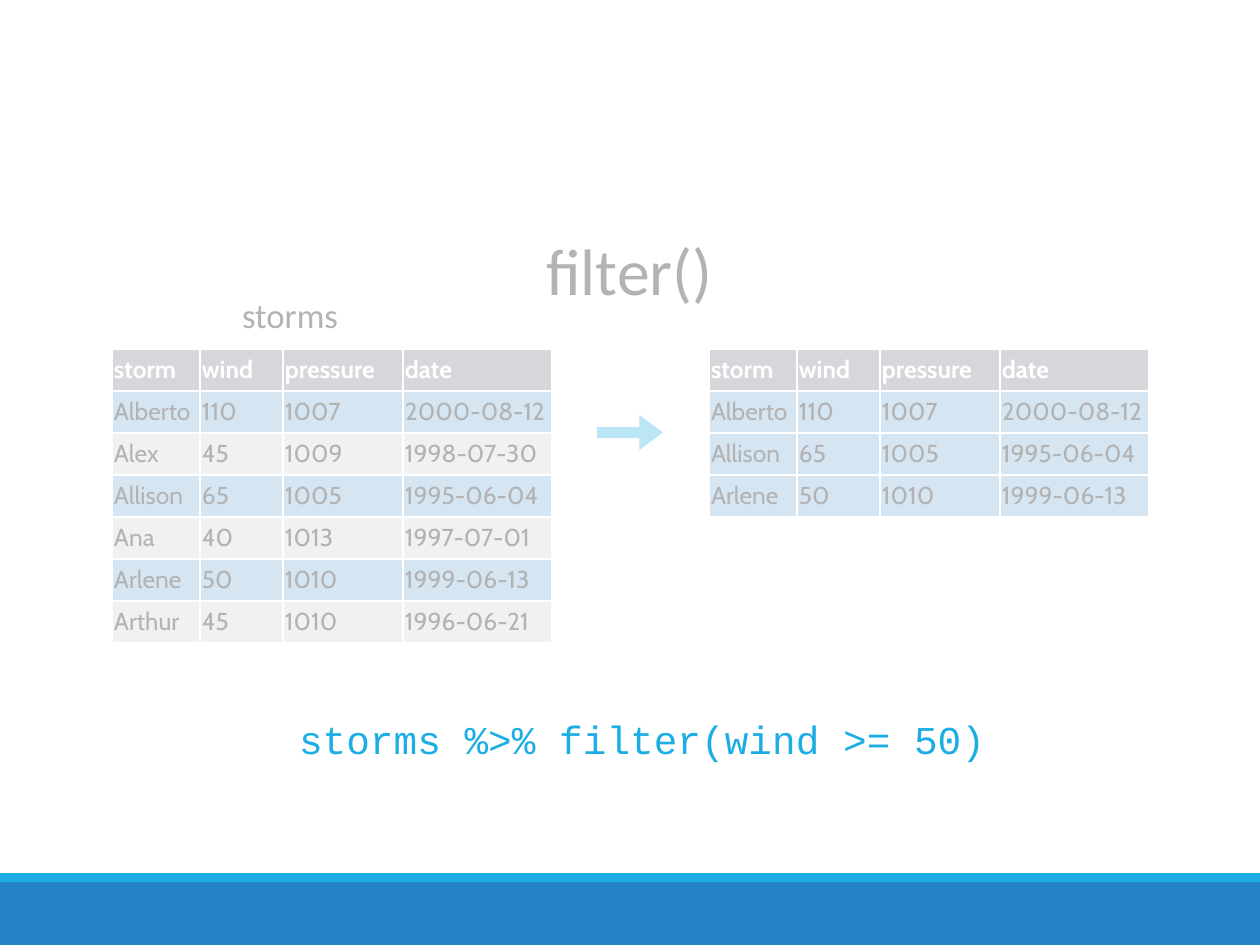
from dataclasses import dataclass

from lxml import etree
from pptx import Presentation
from pptx import util as u
from pptx.dml.color import RGBColor
from pptx.enum import shapes, text
from pptx.oxml import ns

PX = 914400 / 126


def px(length):
    return u.Emu(round(length * PX))


@dataclass(frozen=True)
class Theme:
    ink: str = "000000"
    paper: str = "FFFFFF"
    accent: str = "1CADE4"
    band: str = "2683C6"
    header: str = "767C85"
    kept: str = "78AAD6"
    dropped: str = "D0D1D2"
    body_font: str = "Calibri"
    table_font: str = "Cabin"
    code_font: str = "Courier New"
    title_size: float = 37.5
    code_size: float = 22.5
    label_size: float = 19.8
    table_size: float = 14
    border_width: float = 1


class SlideBuilder:
    def __init__(self, page, theme):
        self.page = page
        self.theme = theme

    def style_text(self, frame, font, size, color, bold=False, align=text.PP_ALIGN.LEFT):
        para = frame.paragraphs[0]
        para.alignment = align
        for span in para.runs:
            span.font.name = font
            span.font.size = u.Pt(size)
            span.font.bold = bold
            span.font.color.rgb = RGBColor.from_string(color)

    def shape(self, kind, area, color, adjustments=(), opacity=None):
        shape = self.page.shapes.add_shape(kind, *map(px, area))
        shape.shadow.inherit = False
        shape.line.fill.background()
        shape.fill.solid()
        shape.fill.fore_color.rgb = RGBColor.from_string(color)
        for index, value in enumerate(adjustments):
            shape.adjustments[index] = value
        if opacity is not None:
            fill_color = shape.fill._xPr.find(".//" + ns.qn("a:srgbClr"))
            etree.SubElement(fill_color, ns.qn("a:alpha"), val=str(opacity * 1000))

    def text(self, words, area, font, size, color, inset, align=text.PP_ALIGN.LEFT,
             anchor=text.MSO_ANCHOR.MIDDLE, line_spacing=1.0):
        frame = self.page.shapes.add_textbox(*map(px, area)).text_frame
        frame.word_wrap = True
        frame.vertical_anchor = anchor
        frame.margin_left = frame.margin_right = px(inset)
        frame.margin_top = frame.margin_bottom = px(inset)
        frame.text = words
        frame.paragraphs[0].line_spacing = line_spacing
        self.style_text(frame, font, size, color, align=align)

    def border(self, cell):
        properties = cell._tc.get_or_add_tcPr()
        for side in ("lnL", "lnR", "lnT", "lnB"):
            line = etree.SubElement(properties, ns.qn("a:" + side),
                                    w=str(u.Pt(self.theme.border_width)))
            fill = etree.SubElement(line, ns.qn("a:solidFill"))
            etree.SubElement(fill, ns.qn("a:srgbClr"), val=self.theme.paper)

    def cell(self, cell, words, fill, color, bold):
        self.border(cell)
        cell.fill.solid()
        cell.fill.fore_color.rgb = RGBColor.from_string(fill)
        cell.margin_left = cell.margin_right = px(2)
        cell.margin_top = cell.margin_bottom = px(2)
        cell.vertical_anchor = text.MSO_ANCHOR.MIDDLE
        cell.text_frame.text = words
        self.style_text(cell.text_frame, self.theme.table_font, self.theme.table_size,
                        color, bold)

    def table(self, left, top, widths, row_height, header, records, is_kept):
        rows = [header, *records]
        area = (left, top, sum(widths), row_height * len(rows))
        table = self.page.shapes.add_table(len(rows), len(widths), *map(px, area)).table
        for column, width in zip(table.columns, widths):
            column.width = px(width)
        for index, record in enumerate(rows):
            table.rows[index].height = px(row_height)
            if index == 0:
                fill, color = self.theme.header, self.theme.paper
            else:
                fill = self.theme.kept if is_kept(record) else self.theme.dropped
                color = self.theme.ink
            for column, value in enumerate(record):
                self.cell(table.cell(index, column), value, fill, color, index == 0)


HEADER = ("storm", "wind", "pressure", "date")
STORMS = [
    ("Alberto", "110", "1007", "2000-08-12"),
    ("Alex", "45", "1009", "1998-07-30"),
    ("Allison", "65", "1005", "1995-06-04"),
    ("Ana", "40", "1013", "1997-07-01"),
    ("Arlene", "50", "1010", "1999-06-13"),
    ("Arthur", "45", "1010", "1996-06-21"),
]
COLUMN_WIDTHS = (88, 83, 120, 149)
ROW_HEIGHT = 42
TABLE_TOP = 349


def is_strong(record):
    return int(record[1]) >= 50


def main():
    deck = Presentation()
    deck.slide_width, deck.slide_height = px(1260), px(945)
    page = deck.slides.add_slide(deck.slide_layouts[6])
    theme = Theme()
    builder = SlideBuilder(page, theme)
    rectangle = shapes.MSO_SHAPE.RECTANGLE

    builder.shape(rectangle, (0, 882, 1260, 63), theme.band)
    builder.shape(rectangle, (0, 873, 1260, 9), theme.accent)
    strong_storms = [record for record in STORMS if is_strong(record)]
    for left, records in ((709, strong_storms), (112, STORMS)):
        builder.table(left, TABLE_TOP, COLUMN_WIDTHS, ROW_HEIGHT, HEADER, records, is_strong)
    builder.text("filter()", (359, 223, 541, 93), theme.body_font, theme.title_size,
                 theme.ink, inset=3, align=text.PP_ALIGN.CENTER)
    builder.shape(shapes.MSO_SHAPE.RIGHT_ARROW, (597, 415, 66, 35), theme.accent,
                  adjustments=(0.32, 0.67))
    builder.text("storms", (238, 294, 121, 47), theme.body_font, theme.label_size,
                 theme.ink, inset=4, line_spacing=0.9)
    builder.text("storms %>% filter(wind >= 50)", (295, 711, 699, 110), theme.code_font,
                 theme.code_size, theme.accent, inset=4, anchor=text.MSO_ANCHOR.TOP)
    builder.shape(rectangle, (47, 204, 1168, 489), theme.paper, opacity=70)
    deck.save("out.pptx")


if __name__ == "__main__":
    main()
